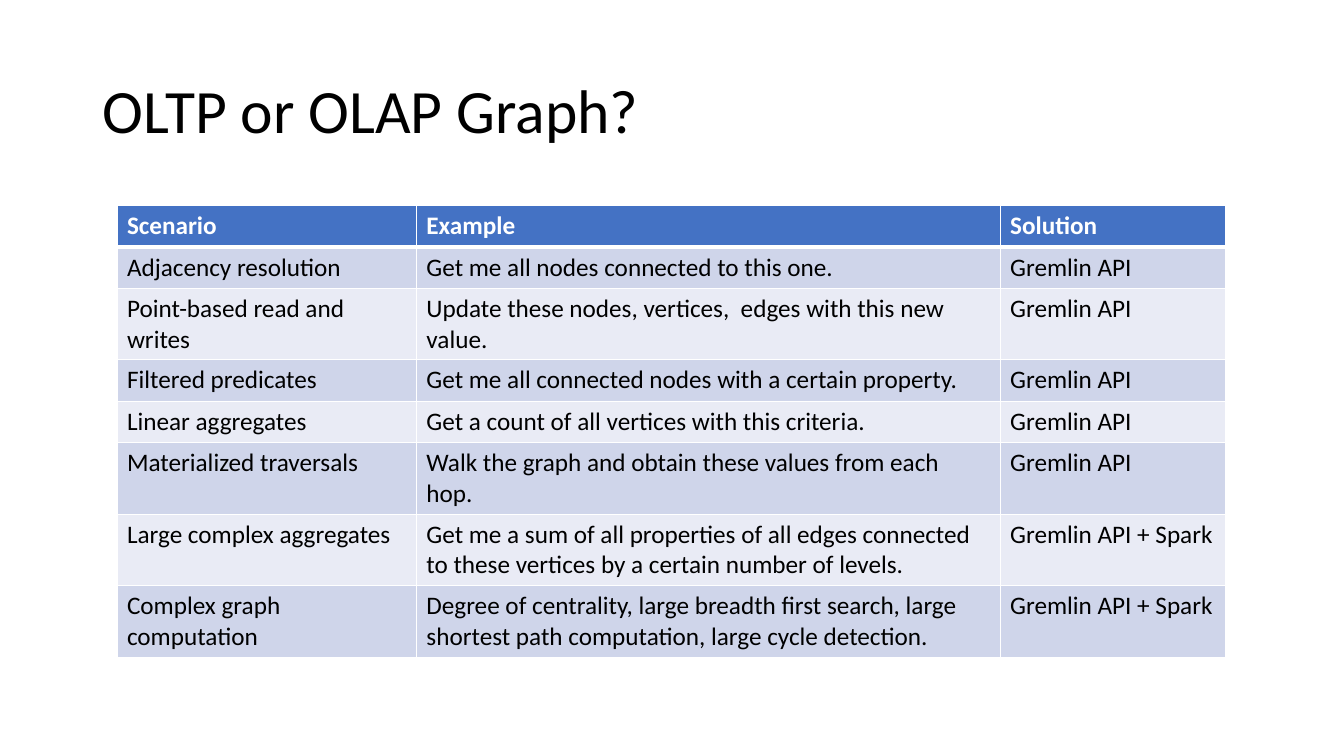
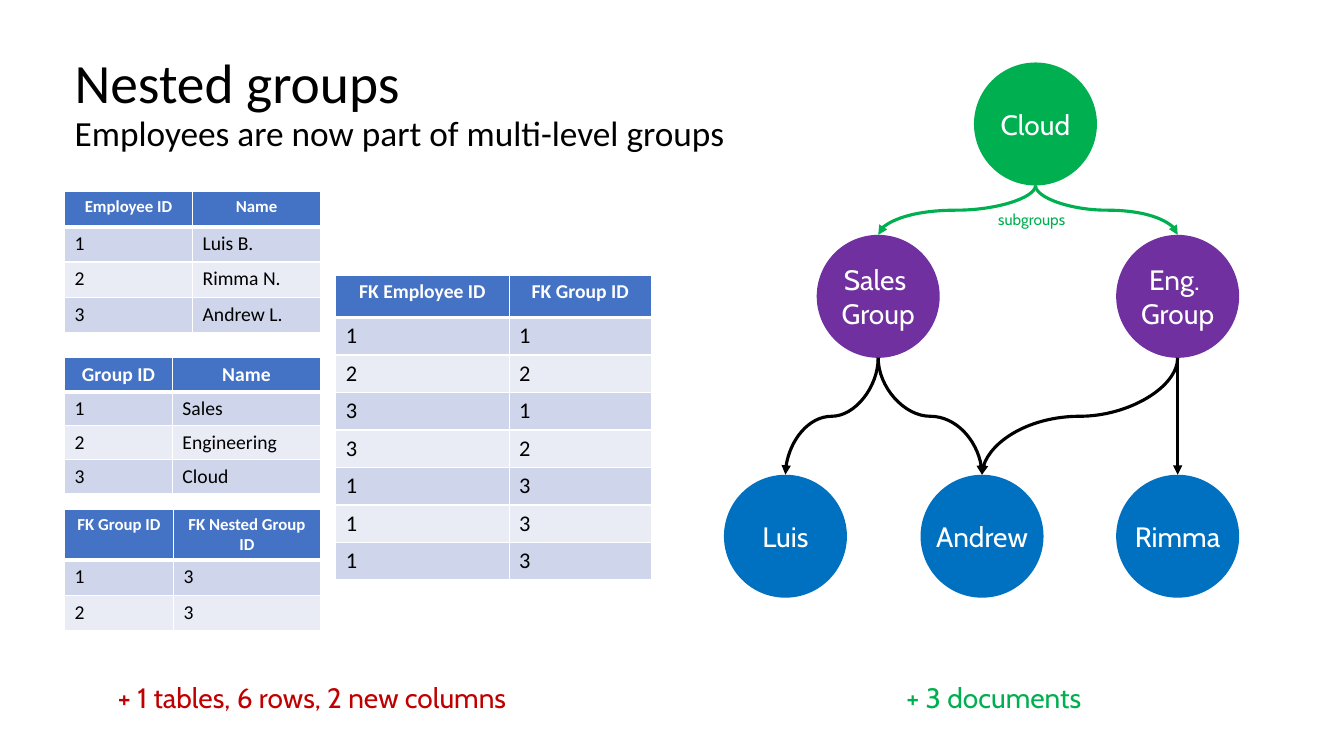
from lxml import etree
from pptx import Presentation, util as u
from pptx.dml.color import RGBColor
from pptx.enum import shapes, text
from pptx.oxml import ns

Inches = u.Inches
BLACK = RGBColor(0x00, 0x00, 0x00)
WHITE = RGBColor(0xFF, 0xFF, 0xFF)
HEADER_BLUE = RGBColor(0x44, 0x72, 0xC4)
BANDS = [RGBColor(0xCF, 0xD5, 0xEA), RGBColor(0xE9, 0xEB, 0xF5)]
GREEN = RGBColor(0x00, 0xB0, 0x50)
PURPLE = RGBColor(0x70, 0x30, 0xA0)
BLUE = RGBColor(0x00, 0x70, 0xC0)
RED = RGBColor(0xC0, 0x00, 0x00)
NO_INSETS = dict.fromkeys(
    ["margin_left", "margin_top", "margin_right", "margin_bottom"], 0)
LEFT, CENTER = text.PP_ALIGN.LEFT, text.PP_ALIGN.CENTER


def write(para, words, size, color, name="Calibri", bold=False, align=LEFT):
    span = para.add_run()
    span.text = words
    para.alignment = align
    for key, value in {"size": u.Pt(size), "name": name, "bold": bold}.items():
        setattr(span.font, key, value)
    span.font.color.rgb = color


def add_grid(page, left, top, widths, heights, rows, head_size, size, head_align=CENTER):
    frame = page.shapes.add_table(
        len(rows), len(widths), Inches(left), Inches(top),
        Inches(sum(widths)), Inches(sum(heights)))
    grid = frame.table
    for column, width in zip(grid.columns, widths):
        column.width = Inches(width)
    for r, (row, height) in enumerate(zip(rows, heights)):
        grid.rows[r].height = Inches(height)
        for c, words in enumerate(row):
            cell = grid.cell(r, c)
            # White borders, with a thick rule under the header
            thick = {0: "lnB", 1: "lnT"}.get(r)
            for side in ["lnL", "lnR", "lnT", "lnB"]:
                line = etree.SubElement(cell._tc.get_or_add_tcPr(), ns.qn("a:" + side))
                line.set("w", str(u.Pt(3 if side == thick else 1)))
                fill = etree.SubElement(line, ns.qn("a:solidFill"))
                etree.SubElement(fill, ns.qn("a:srgbClr")).set("val", str(WHITE))
            cell.fill.solid()
            cell.fill.fore_color.rgb = BANDS[(r - 1) % 2] if r else HEADER_BLUE
            para = cell.text_frame.paragraphs[0]
            if r:
                write(para, words, size, BLACK)
            else:
                write(para, words, head_size, WHITE, bold=True, align=head_align)


deck = Presentation()
deck.slide_width, deck.slide_height = Inches(13.33), Inches(7.5)

# Pages with their titles
titles = [
    ((0.92, 0.4, 11.5, 1.45), [("OLTP or OLAP Graph?", 44)]),
    ((0.64, 0.5, 12.05, 1.08), [
        ("Nested groups", 39.6),
        ("Employees are now part of multi-level groups", 25.2)]),
]
pages = []
for place, lines in titles:
    page = deck.slides.add_slide(deck.slide_layouts[5])
    pages.append(page)
    title = page.shapes.title
    title.left, title.top, title.width, title.height = map(Inches, place)
    frame = title.text_frame
    frame.auto_size = text.MSO_AUTO_SIZE.NONE
    frame.vertical_anchor = text.MSO_ANCHOR.MIDDLE
    para = frame.paragraphs[0]
    para.line_spacing = 0.9
    for i, (words, size) in enumerate(lines):
        if i:
            para.add_line_break()
        write(para, words, size, BLACK)
scenario_page, groups_page = pages

# Scenario table
scenarios = [
    ("Scenario", "Example", "Solution"),
    ("Adjacency resolution", "Get me all nodes connected to this one.", "Gremlin API"),
    ("Point-based read and writes",
     "Update these nodes, vertices,  edges with this new value.", "Gremlin API"),
    ("Filtered predicates",
     "Get me all connected nodes with a certain property.", "Gremlin API"),
    ("Linear aggregates", "Get a count of all vertices with this criteria.", "Gremlin API"),
    ("Materialized traversals",
     "Walk the graph and obtain these values from each hop.", "Gremlin API"),
    ("Large complex aggregates",
     "Get me a sum of all properties of all edges connected to these vertices "
     "by a certain number of levels.", "Gremlin API + Spark"),
    ("Complex graph computation",
     "Degree of centrality, large breadth first search, large shortest path "
     "computation, large cycle detection.", "Gremlin API + Spark"),
]
add_grid(scenario_page, 1.16, 2.04, [2.97, 5.79, 2.24], [0.41] * len(scenarios),
         scenarios, 18, 18, LEFT)

# Relational tables
add_grid(groups_page, 0.64, 1.9, [1.27, 1.27], [0.35] * 4,
         [("Employee ID", "Name"), ("1", "Luis B."), ("2", "Rimma N."), ("3", "Andrew L.")],
         12, 14)
add_grid(groups_page, 0.64, 3.55, [1.07, 1.47], [0.33] * 4,
         [("Group ID", "Name"), ("1", "Sales"), ("2", "Engineering"), ("3", "Cloud")],
         14, 14)
add_grid(groups_page, 0.64, 5.05, [1.08, 1.46], [0.46, 0.35, 0.35],
         [("FK Group ID", "FK Nested Group ID"), ("1", "3"), ("2", "3")], 12, 14)
add_grid(groups_page, 3.33, 2.73, [1.72, 1.41], [0.42] + [0.37] * 7,
         [("FK Employee ID", "FK Group ID"), *["11", "22", "31", "32", "13", "13", "13"]],
         14, 16)

# Graph nodes: left, top, colour, label lines
DIAMETER = 1.22
nodes = {
    "root": (9.66, 0.62, GREEN, ["Cloud"]),
    "sales": (8.1, 2.33, PURPLE, ["Sales ", "Group"]),
    "engineering": (11.07, 2.33, PURPLE, ["Eng. ", "Group"]),
    "luis": (7.18, 4.71, BLUE, ["Luis"]),
    "andrew": (9.13, 4.71, BLUE, ["Andrew"]),
    "rimma": (11.07, 4.71, BLUE, ["Rimma"]),
}
for left, top, color, lines in nodes.values():
    circle = groups_page.shapes.add_shape(
        shapes.MSO_SHAPE.OVAL, Inches(left), Inches(top), Inches(DIAMETER), Inches(DIAMETER))
    circle.shadow.inherit = False
    circle.fill.solid()
    circle.fill.fore_color.rgb = color
    circle.line.fill.background()
    frame = circle.text_frame
    for key, value in {**NO_INSETS, "word_wrap": False,
                       "vertical_anchor": text.MSO_ANCHOR.MIDDLE}.items():
        setattr(frame, key, value)
    for i, words in enumerate(lines):
        para = frame.add_paragraph() if i else frame.paragraphs[0]
        write(para, words, 20, WHITE, "Cabin", align=CENTER)

# Arrows from the bottom of one node to the top of another
arrows = [
    ("root", "sales", GREEN), ("root", "engineering", GREEN),
    ("sales", "luis", BLACK), ("sales", "andrew", BLACK),
    ("engineering", "andrew", BLACK), ("engineering", "rimma", BLACK),
]
for start, end, color in arrows:
    x1, y1 = nodes[start][0] + DIAMETER / 2, nodes[start][1] + DIAMETER
    x2, y2 = nodes[end][0] + DIAMETER / 2, nodes[end][1]
    kind = shapes.MSO_CONNECTOR.STRAIGHT if x1 == x2 else shapes.MSO_CONNECTOR.CURVE
    arrow = groups_page.shapes.add_connector(
        kind, Inches(x1), Inches(y1), Inches(x2), Inches(y2))
    if x1 != x2:
        # Turn the curve a quarter so that it leaves and arrives vertically
        across, down = abs(x2 - x1), y2 - y1
        arrow.left = Inches((x1 + x2 - down) / 2)
        arrow.top = Inches((y1 + y2 - across) / 2)
        arrow.width, arrow.height = Inches(down), Inches(across)
        xfrm = arrow._element.spPr.find(ns.qn("a:xfrm"))
        xfrm.set("rot", "16200000" if x2 > x1 else "5400000")
        xfrm.set("flipH", "1" if x2 > x1 else "0")
    arrow.line.color.rgb = color
    arrow.line.width = u.Pt(2.25)
    etree.SubElement(arrow.line._get_or_add_ln(), ns.qn("a:tailEnd")).set("type", "triangle")
    etree.SubElement(arrow._element.spPr, ns.qn("a:effectLst"))

# Captions
captions = [
    ((1.17, 6.75, 4.32, 0.34), "+ 1 tables, 6 rows, 2 new columns", 20, RED),
    ((8.99, 6.75, 1.88, 0.34), "+ 3 documents", 20, GREEN),
    ((9.9, 2.08, 0.72, 0.19), "subgroups", 11, GREEN),
]
for place, words, size, color in captions:
    box = groups_page.shapes.add_textbox(*map(Inches, place))
    for key, value in {**NO_INSETS, "word_wrap": False}.items():
        setattr(box.text_frame, key, value)
    write(box.text_frame.paragraphs[0], words, size, color, "Cabin")

deck.save("out.pptx")
